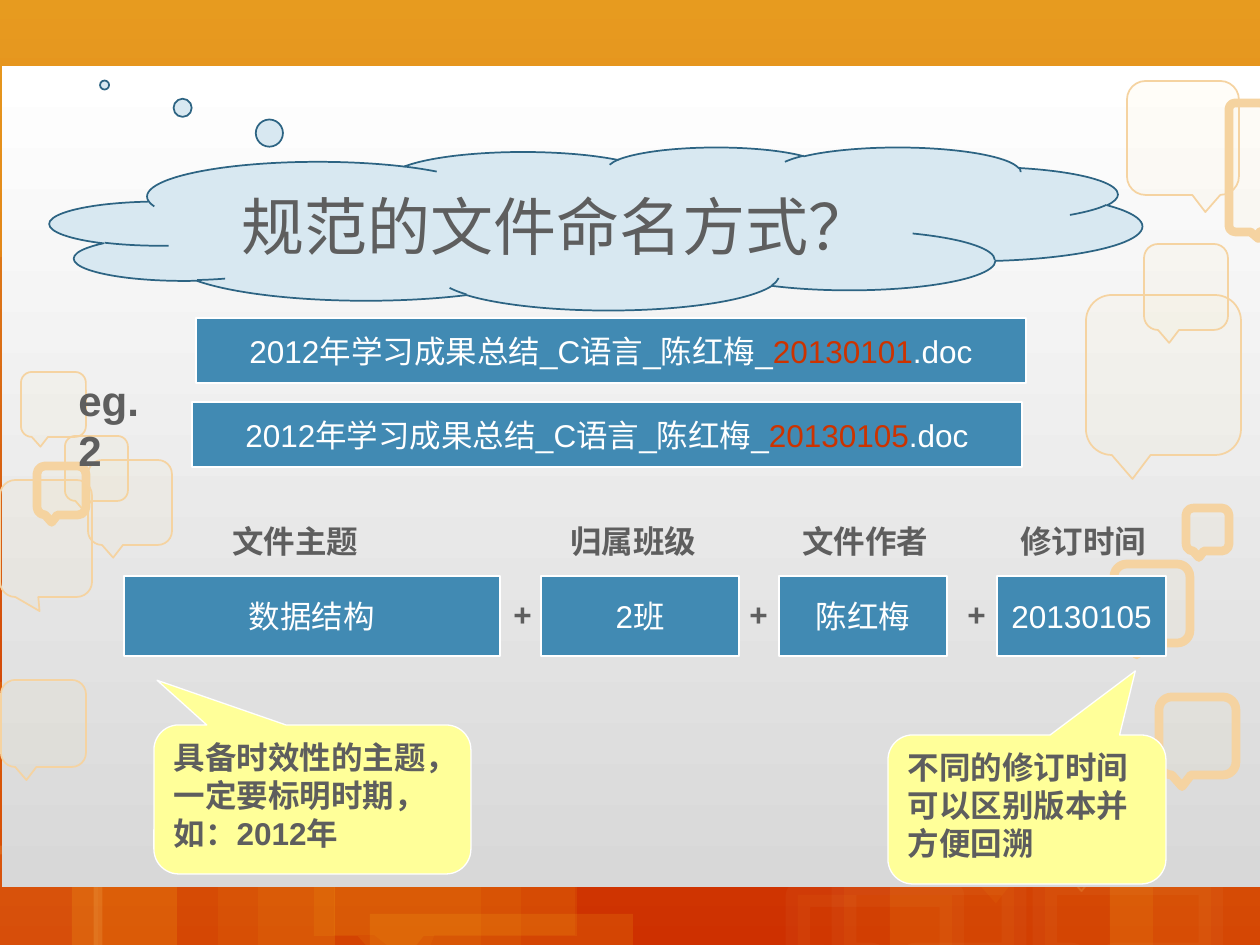
from lxml import etree
from pptx import Presentation
from pptx.dml.color import RGBColor
from pptx.enum.shapes import MSO_SHAPE
from pptx.enum.text import MSO_ANCHOR, MSO_AUTO_SIZE, PP_ALIGN
from pptx.oxml.ns import qn
from pptx.util import Emu, Pt

RECT = MSO_SHAPE.RECTANGLE
SQUARE_BUBBLE = MSO_SHAPE.RECTANGULAR_CALLOUT
ROUND_BUBBLE = MSO_SHAPE.ROUNDED_RECTANGULAR_CALLOUT
CLOUD = MSO_SHAPE.CLOUD_CALLOUT
TOP, MIDDLE = MSO_ANCHOR.TOP, MSO_ANCHOR.MIDDLE
LEFT, CENTER = PP_ALIGN.LEFT, PP_ALIGN.CENTER
NO_FIT, GROW = MSO_AUTO_SIZE.NONE, MSO_AUTO_SIZE.SHAPE_TO_FIT_TEXT

EMU_PER_INCH, PX_PER_INCH = 914400, 126
TITLE_ONLY = 5
COLORS = {
    "sky": "E29121", "ground": "CE3000", "panel_top": "FFFFFF", "panel_end": "D8D8D8",
    "gold": "FDC51B", "pale_gold": "FFE181", "cream": "FEEAAC", "outline": "F5D3A1",
    "cloud": "D8E8F1", "cloud_edge": "2D6483", "box": "418AB3", "note": "FFFF99",
    "white": "FFFFFF", "text": "5E5E5E", "date": "CC3300",
}
TAIL = (-0.2, 0.65)
BOLD = {"size": Pt(18), "name": "Arial", "bold": True}
PLAIN = {"size": Pt(18), "name": "Arial", "bold": False}

# Backdrop bubbles: place, tail, fill, opacity %, line (colour, points, opacity %)
GLOW = ("cream", 14, 3)
BACKDROP = [
    ((334, 672, 241, 263), (-0.14, 0.64), "gold", 7, None),
    ((314, 673, 263, 263), TAIL, "gold", 10, None),
    ((72, 790, 263, 165), TAIL, "gold", 16, None),
    ((-5, -6, 1265, 263), (-0.2, 0.45), "gold", 20, None),
    ((370, 914, 263, 263), TAIL, "gold", 14, None),
    ((1110, 708, 156, 242), (0.05, 0.6), "gold", 16, None),
    ((917, 601, 263, 263), TAIL, "gold", 5, None),
    ((-9, 682, 186, 263), (0, 0.61), "gold", 16, None),
    ((258, 872, 263, 263), TAIL, "gold", 7, None),
    ((890, 708, 263, 263), TAIL, "gold", 10, None),
    ((798, 895, 154, 62), TAIL, "gold", 5, GLOW),
    ((844, 883, 170, 72), TAIL, "gold", 5, GLOW),
    ((1045, 883, 166, 72), TAIL, "gold", 5, GLOW),
    ((-9, 850, 107, 103), TAIL, "pale_gold", 5, ("pale_gold", 5, 14)),
    ((1051, 774, 102, 102), TAIL, "pale_gold", 5, ("pale_gold", 1, 14)),
    ((218, 752, 263, 203), TAIL, "gold", 7, None),
]

# Bubbles on the panel: place, line points, tail
SIDE_BUBBLES = [
    ((1, 680, 85, 87), 1, TAIL),
    ((1086, 295, 155, 160), 1, TAIL),
    ((1229, 103, 37, 129), 5, (0.29, 0.55)),
    ((1144, 244, 84, 86), 1, TAIL),
    ((1127, 81, 112, 114), 1, (0.2, 0.65)),
    ((1114, 564, 76, 79), 5, TAIL),
    ((1159, 697, 77, 78), 5, TAIL),
    ((1186, 508, 43, 43), 5, TAIL),
    ((21, 372, 65, 65), 1, TAIL),
    ((65, 436, 63, 65), 1, TAIL),
    ((37, 466, 49, 49), 5, TAIL),
    ((88, 460, 84, 85), 1, TAIL),
    ((0, 480, 92, 117), 1, (-0.07, 0.62)),
]

# Name parts: heading, value, box left, box width, heading left
NAME_PARTS = [
    ("文件主题", "数据结构", 124, 376, 220),
    ("归属班级", "2班", 541, 198, 558),
    ("文件作者", "陈红梅", 779, 168, 790),
    ("修订时间", "20130105", 997, 169, 1008),
]
PLUS_LEFTS = [501, 737, 955]
FILE_NAMES = [("20130101", 196, 318), ("20130105", 192, 402)]
NOTES = [
    ("不同的修订时间可以区别版本并方便回溯", (888, 735, 278, 149), (0.39, -0.93)),
    ("具备时效性的主题，一定要标明时期，如：2012年", (154, 725, 317, 149), (-0.49, -0.8)),
]


def place_px(box):
    return [Emu(round(v * EMU_PER_INCH / PX_PER_INCH)) for v in box]


def apply(target, formats):
    for attribute, value in formats.items():
        setattr(target, attribute, value)


def paint(fill, color, opacity=100):
    fill.solid()
    fill.fore_color.rgb = RGBColor.from_string(COLORS[color])
    if opacity < 100:
        srgb = fill._xPr.find(".//" + qn("a:srgbClr"))
        etree.SubElement(srgb, qn("a:alpha")).set("val", str(opacity * 1000))


def paint_gradient(fill, colors):
    fill.gradient()
    fill.gradient_angle = 270
    for stop, color, position in zip(fill.gradient_stops, colors, (0, 1)):
        stop.color.rgb = RGBColor.from_string(COLORS[color])
        stop.position = position


def add_figure(slide, kind, box, fill, opacity=100, line=None, tail=()):
    figure = slide.shapes.add_shape(kind, *place_px(box))
    figure.shadow.inherit = False
    for index, value in enumerate(tail):
        figure.adjustments[index] = value
    paint(figure.fill, fill, opacity)
    if line:
        color, points, line_opacity = line
        figure.line.width = Pt(points)
        paint(figure.line.fill, color, line_opacity)
    else:
        figure.line.fill.background()
    return figure


def write(holder, runs, font, align=LEFT, anchor=TOP, wrap=False, fit=NO_FIT):
    frame = holder.text_frame
    apply(frame, {"word_wrap": wrap, "auto_size": fit, "vertical_anchor": anchor})
    paragraph = frame.paragraphs[0]
    paragraph.alignment = align
    for text, color in runs:
        run = paragraph.add_run()
        run.text = text
        apply(run.font, font)
        run.font.color.rgb = RGBColor.from_string(COLORS[color])


def add_label(slide, text, box, font=BOLD):
    write(slide.shapes.add_textbox(*place_px(box)), [(text, "text")], font, fit=GROW)


def add_blue_box(slide, box, runs):
    blue_box = add_figure(slide, RECT, box, "box", line=("white", 0.75, 100))
    write(blue_box, runs, PLAIN, CENTER, MIDDLE)


def add_title_cloud(slide):
    cloud = add_figure(slide, CLOUD, (50, 147, 1092, 163), "cloud",
                       line=("cloud_edge", 1, 100), tail=(-0.45, -0.88))
    title = slide.shapes.title
    apply(title, dict(zip(("left", "top", "width", "height"), place_px((200, 172, 714, 106)))))
    write(title, [("规范的文件命名方式？", "text")], {"size": Pt(36), "name": "Calibri"},
          CENTER, MIDDLE, wrap=True)
    cloud._element.addnext(title._element)  # title text lies on the cloud


def main():
    deck = Presentation()
    deck.slide_width, deck.slide_height = place_px((1260, 945))
    slide = deck.slides.add_slide(deck.slide_layouts[TITLE_ONLY])

    # Backdrop and panel
    paint_gradient(slide.background.fill, ("sky", "ground"))
    for box, tail, fill, opacity, line in BACKDROP:
        add_figure(slide, SQUARE_BUBBLE, box, fill, opacity, line, tail)
    panel = add_figure(slide, RECT, (2, 66, 1260, 821), "panel_top")
    paint_gradient(panel.fill, ("panel_top", "panel_end"))
    for box, points, tail in SIDE_BUBBLES:
        add_figure(slide, ROUND_BUBBLE, box, "pale_gold", 5, ("outline", points, 100), tail)

    add_title_cloud(slide)

    # Example file names
    add_label(slide, "eg.2", (66, 368, 108, 63), {**BOLD, "size": Pt(24)})
    for date, left, top in FILE_NAMES:
        add_blue_box(slide, (left, top, 830, 65), [
            ("2012年学习成果总结_C语言_陈红梅_", "white"), (date, "date"), (".doc", "white")])

    # Parts of a file name
    for heading, value, left, width, heading_left in NAME_PARTS:
        add_label(slide, heading, (heading_left, 516, 151, 50))
        add_blue_box(slide, (left, 576, width, 80), [(value, "white")])
    for left in PLUS_LEFTS:
        add_label(slide, "+", (left, 589, 43, 50))

    # Notes
    for text, box, tail in NOTES:
        note = add_figure(slide, ROUND_BUBBLE, box, "note", line=("white", 0.75, 100), tail=tail)
        write(note, [(text, "text")], BOLD, wrap=True)

    deck.save("out.pptx")


if __name__ == "__main__":
    main()
